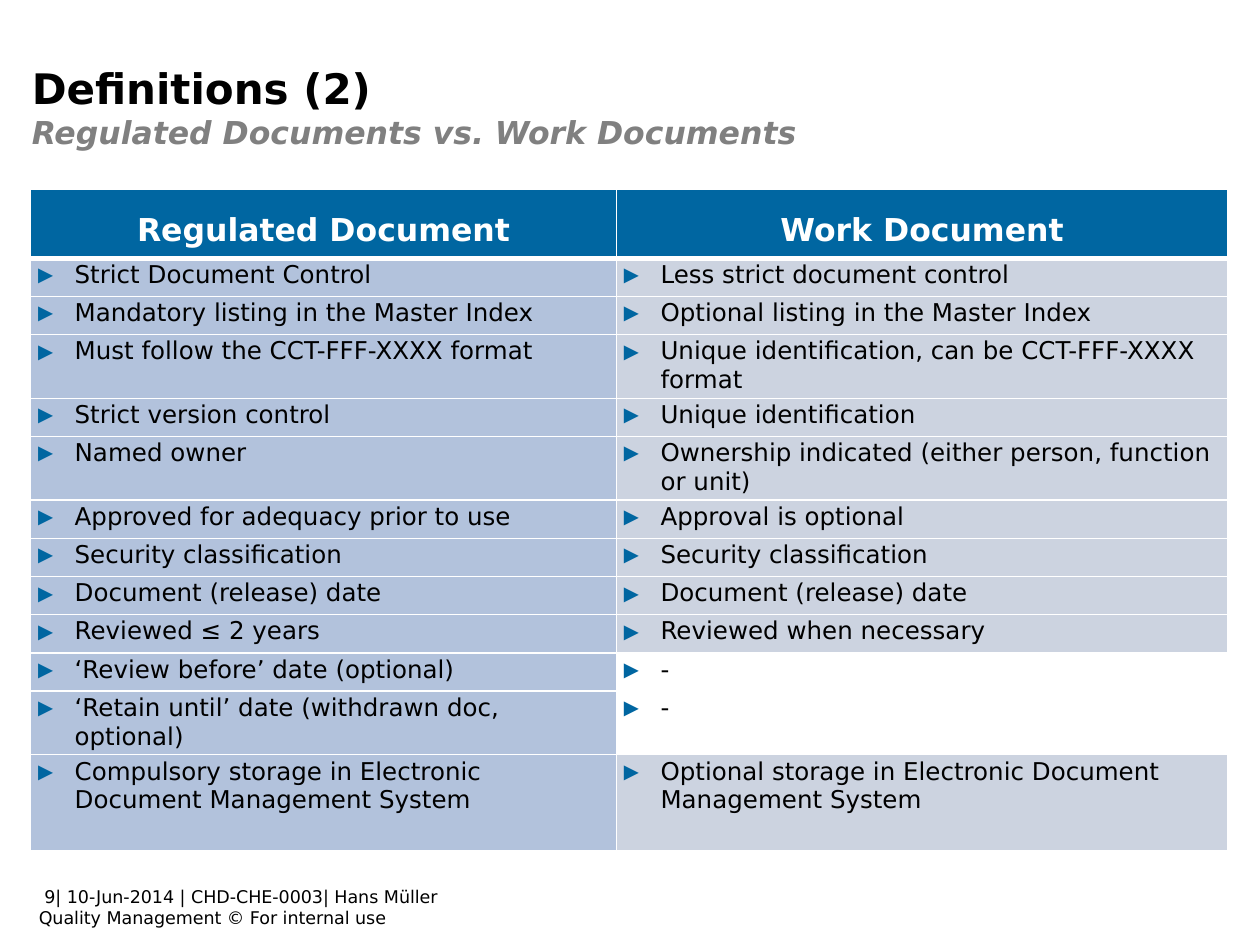
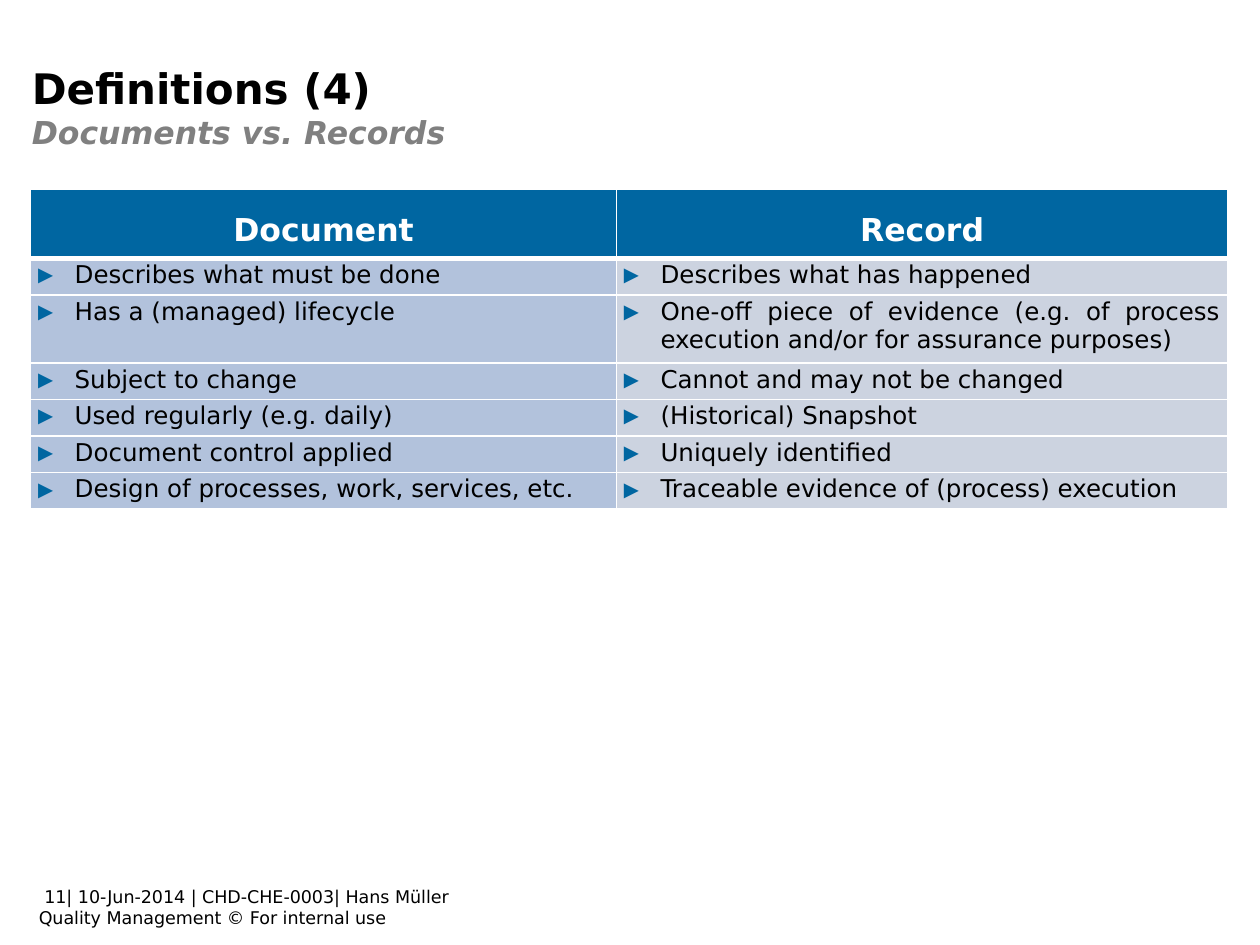
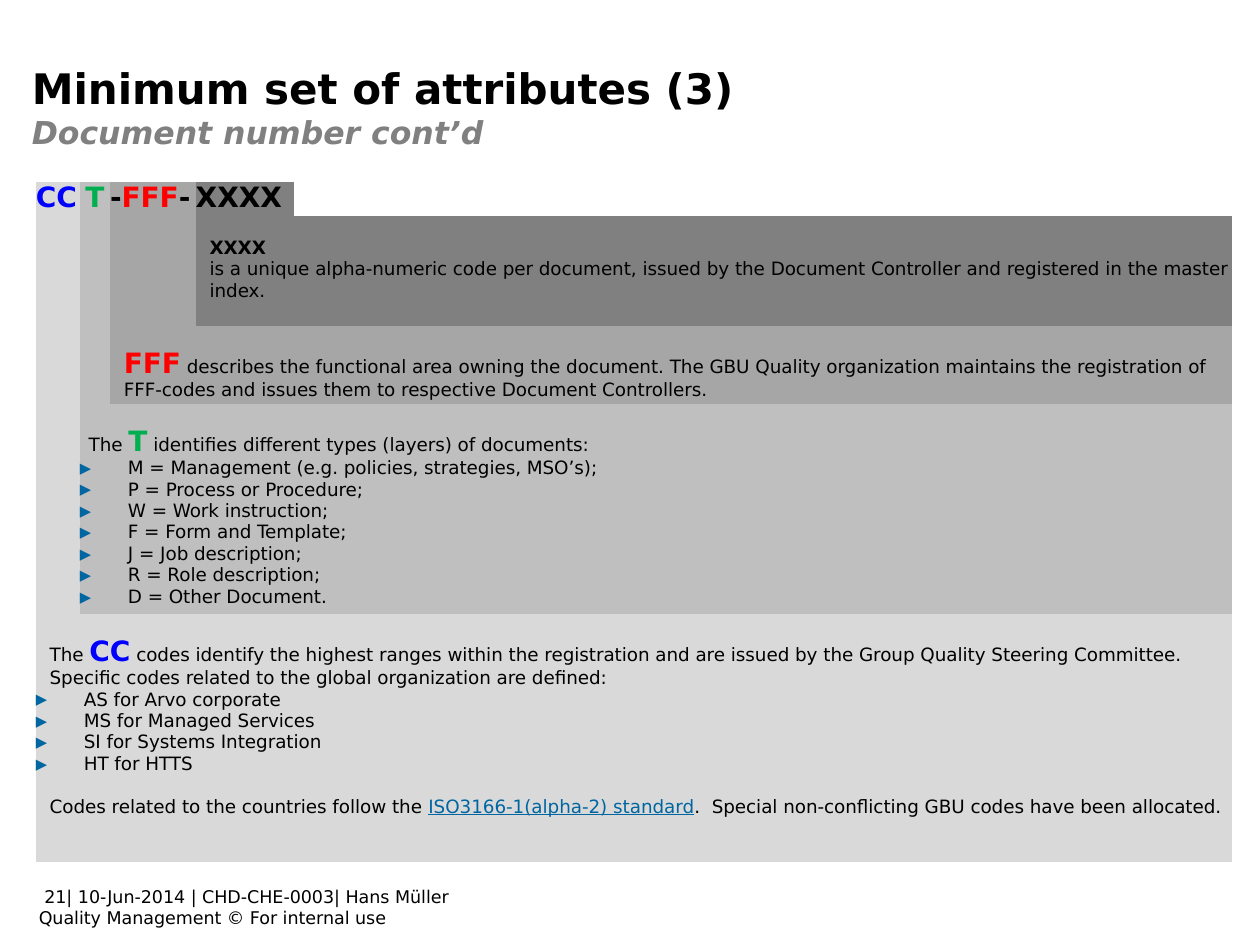
from lxml.etree import SubElement
from pptx import Presentation
from pptx.dml.color import RGBColor
from pptx.enum.text import MSO_ANCHOR as Anchor, PP_ALIGN as Align
from pptx.oxml.ns import qn
from pptx.util import Pt

FONT = "DejaVu Sans"
COLORS = {
    "black": "000000", "white": "FFFFFF", "subtitle": "808080",
    "header": "0066A1", "left": "B2C2DC", "right": "CCD3E0",
    "bullet": "0066A1", "link": "0066A1",
    "cc": "0000FF", "t": "00B050", "fff": "FF0000",
    "cc_area": "D9D9D9", "t_area": "BFBFBF", "fff_area": "A6A6A6", "xxxx_area": "808080",
}
NO_STYLE_NO_GRID = "{2D5ABB26-0587-4C30-8999-92F81FD0307C}"
CODE_SIZE, NOTE_SIZE, NOTE_LINE = 16, 10.5, 12.2
NOTE_INDENT, NOTE_HANG = 7.9, 27.4

REGULATED_VS_WORK = [
    ("Regulated Document", "Work Document"),
    ("Strict Document Control", "Less strict document control"),
    ("Mandatory listing in the Master Index", "Optional listing in the Master Index"),
    ("Must follow the CCT-FFF-XXXX format",
     "Unique identification, can be CCT-FFF-XXXX format"),
    ("Strict version control", "Unique identification"),
    ("Named owner", "Ownership indicated (either person, function or unit)"),
    ("Approved for adequacy prior to use", "Approval is optional"),
    ("Security classification", "Security classification"),
    ("Document (release) date", "Document (release) date"),
    ("Reviewed ≤ 2 years", "Reviewed when necessary"),
    ("‘Review before’ date (optional)", "-"),
    ("‘Retain until’ date (withdrawn doc, optional)", "-"),
    ("Compulsory storage in Electronic Document Management System",
     "Optional storage in Electronic Document Management System"),
]
DOCUMENT_VS_RECORD = [
    ("Document", "Record"),
    ("Describes what must be done", "Describes what has happened"),
    ("Has a (managed) lifecycle",
     "One-off piece of evidence (e.g. of process execution and/or for assurance purposes)"),
    ("Subject to change", "Cannot and may not be changed"),
    ("Used regularly (e.g. daily)", "(Historical) Snapshot"),
    ("Document control applied", "Uniquely identified"),
    ("Design of processes, work, services, etc.",
     "Traceable evidence of (process) execution"),
]
DOCUMENT_TYPES = [
    "M = Management (e.g. policies, strategies, MSO’s);",
    "P = Process or Procedure;",
    "W = Work instruction;",
    "F = Form and Template;",
    "J = Job description;",
    "R = Role description;",
    "D = Other Document.",
]
ORGANIZATION_CODES = [
    "AS for Arvo corporate",
    "MS for Managed Services",
    "SI for Systems Integration",
    "HT for HTTS",
]


class Deck:
    def __init__(self):
        self.presentation = Presentation()
        self.presentation.slide_width = Pt(720)
        self.presentation.slide_height = Pt(540)
        self.slide = None

    def new_slide(self, number, title, subtitle, title_width=510):
        """Add a slide with its title, subtitle and footer."""
        self.slide = self.presentation.slides.add_slide(self.presentation.slide_layouts[6])
        frame = self.text_box(12.2, 29.5, title_width, 64, margin=(6, 6))
        paragraph = frame.paragraphs[0]
        self.run(paragraph, title, 24, bold=True)
        paragraph.add_line_break()
        self.run(paragraph, subtitle, 18, "subtitle", bold=True, italic=True)

        footer = self.text_box(15.1, 502.6, 407.5, 31.7, margin=(7.2, 3.6))
        self.run(footer.paragraphs[0], f" {number}| 10-Jun-2014 | CHD-CHE-0003| Hans Müller", 10)
        self.run(footer.add_paragraph(), "Quality Management © For internal use", 10)

    def text_box(self, left, top, width, height, margin):
        frame = self.slide.shapes.add_textbox(
            Pt(left), Pt(top), Pt(width), Pt(height)).text_frame
        frame.word_wrap = True
        frame.vertical_anchor = Anchor.TOP
        frame.margin_left = frame.margin_right = Pt(margin[0])
        frame.margin_top = frame.margin_bottom = Pt(margin[1])
        return frame

    def run(self, paragraph, text, size, color="black", bold=False, italic=False, underline=False):
        run = paragraph.add_run()
        run.text = text
        font = run.font
        font.name, font.size = FONT, Pt(size)
        font.bold, font.italic, font.underline = bold, italic, underline
        font.color.rgb = RGBColor.from_string(COLORS[color])

    def indent(self, paragraph, left, bullet=False):
        """Indent a paragraph; a bullet hangs by the whole indent."""
        properties = paragraph._p.get_or_add_pPr()
        properties.set("marL", str(Pt(left)))
        properties.set("indent", str(Pt(-left) if bullet else 0))
        if bullet:
            color = SubElement(properties, qn("a:buClr"))
            SubElement(color, qn("a:srgbClr"), val=COLORS["bullet"])
            SubElement(properties, qn("a:buSzPct"), val="80000")
            SubElement(properties, qn("a:buFont"), typeface=FONT)
            SubElement(properties, qn("a:buChar"), char="▶")

    def table(self, left, top, widths, heights):
        table = self.slide.shapes.add_table(
            len(heights), len(widths), Pt(left), Pt(top),
            Pt(sum(widths)), Pt(sum(heights))).table
        table.first_row = table.horz_banding = False
        table._tbl.tblPr.find(qn("a:tableStyleId")).text = NO_STYLE_NO_GRID
        for column, width in zip(table.columns, widths):
            column.width = Pt(width)
        for row, height in zip(table.rows, heights):
            row.height = Pt(height)
        return table

    def cell(self, cell, fill=None, margins=(0, 0, 0, 0)):
        """Set fill and margins (left, top, right, bottom) of a cell."""
        (cell.margin_left, cell.margin_top,
         cell.margin_right, cell.margin_bottom) = map(Pt, margins)
        cell.vertical_anchor = Anchor.TOP
        if fill:
            cell.fill.solid()
            cell.fill.fore_color.rgb = RGBColor.from_string(COLORS[fill])

    def borders(self, cell, top=1, bottom=1):
        properties = cell._tc.get_or_add_tcPr()
        for side, width in (("L", 1), ("R", 1), ("T", top), ("B", bottom)):
            line = SubElement(properties, qn(f"a:ln{side}"), w=str(Pt(width)))
            fill = SubElement(line, qn("a:solidFill"))
            SubElement(fill, qn("a:srgbClr"), val=COLORS["white"])

    def comparison(self, rows, heights, align):
        """Two-column table with a header row and bulleted cells."""
        table = self.table(17.5, 108, [334.8, 349.2], heights)
        for row_index, texts in enumerate(rows):
            for column_index, text in enumerate(texts):
                cell = table.cell(row_index, column_index)
                paragraph = cell.text_frame.paragraphs[0]
                if row_index == 0:
                    self.borders(cell, bottom=3)
                    self.cell(cell, "header", (4.3, 2.9, 4.3, 1.4))
                    paragraph.alignment = Align.CENTER
                    paragraph.line_spacing = 1.5
                    paragraph.space_after = Pt(2.1)
                    self.run(paragraph, text, 18, "white", bold=True)
                else:
                    self.borders(cell, top=3 if row_index == 1 else 1)
                    fill = "white" if text == "-" else ("left", "right")[column_index]
                    self.cell(cell, fill, (4.3, 1.4, 4.3, 1.4))
                    paragraph.alignment = align
                    self.indent(paragraph, 20.9, bullet=True)
                    self.run(paragraph, text, 14)

    def code(self, cell, parts, align=Align.LEFT):
        """Write coloured parts of the document number."""
        paragraph = cell.text_frame.paragraphs[0]
        paragraph.alignment = align
        for text, color in parts:
            self.run(paragraph, text, CODE_SIZE, color, bold=True)

    def note(self, cell, before, code, after, indent=NOTE_INDENT, bullets=()):
        """Explain one code, set off by one line from the top of its cell."""
        cell.margin_top = Pt(NOTE_LINE)
        paragraph = cell.text_frame.paragraphs[0]
        self.indent(paragraph, indent)
        if before:
            self.run(paragraph, before, NOTE_SIZE)
        self.run(paragraph, code[0], CODE_SIZE, code[1], bold=True)
        self.run(paragraph, after, NOTE_SIZE)
        for text in bullets:
            paragraph = cell.text_frame.add_paragraph()
            self.indent(paragraph, NOTE_HANG, bullet=True)
            self.run(paragraph, text, NOTE_SIZE)

    def document_number(self):
        """Nested areas that explain each part of the document number."""
        table = self.table(20.5, 104, [25.2, 17.2, 49, 56, 536], [19.4, 62.9, 44.6, 120, 141.8])
        areas = ["cc_area", "t_area", "fff_area", "xxxx_area"]
        for row in range(5):
            for column in range(5):
                cell = table.cell(row, column)
                if row == 0:
                    fill = (areas + [None])[column]
                else:
                    fill = areas[min(column, 4 - row)]
                self.cell(cell, fill)
                end = cell.text_frame.paragraphs[0]._p.get_or_add_endParaRPr()
                end.set("sz", str(int(NOTE_SIZE * 100)))
        for first, last in (((1, 0), (2, 0)), ((1, 1), (2, 1)), ((1, 3), (1, 4)),
                            ((2, 2), (2, 4)), ((3, 1), (3, 4)), ((4, 0), (4, 4))):
            table.cell(*first).merge(table.cell(*last))

        self.code(table.cell(0, 0), [("CC", "cc")])
        self.code(table.cell(0, 1), [("T", "t")], Align.CENTER)
        self.code(table.cell(0, 2), [("-", "black"), ("FFF", "fff"), ("-", "black")])
        self.code(table.cell(0, 3), [("XXXX", "black")])

        unique = table.cell(1, 3)
        unique.margin_top = Pt(NOTE_LINE)
        heading = unique.text_frame.paragraphs[0]
        self.indent(heading, NOTE_INDENT)
        self.run(heading, "XXXX", NOTE_SIZE, bold=True)
        body = unique.text_frame.add_paragraph()
        self.indent(body, NOTE_INDENT)
        self.run(body, "is a unique alpha-numeric code per document, issued by the Document "
                 "Controller and registered in the master index.", NOTE_SIZE)

        self.note(table.cell(2, 2), "", ("FFF", "fff"),
                  " describes the functional area owning the document. The GBU Quality "
                  "organization maintains the registration of FFF-codes and issues them to "
                  "respective Document Controllers.")
        self.note(table.cell(3, 1), "The ", ("T", "t"),
                  " identifies different types (layers) of documents:", 5, DOCUMENT_TYPES)
        ranges = table.cell(4, 0)
        self.note(ranges, "The ", ("CC", "cc"),
                  " codes identify the highest ranges within the registration and are issued by "
                  "the Group Quality Steering Committee. Specific codes related to the global "
                  "organization are defined:", bullets=ORGANIZATION_CODES)
        countries = ranges.text_frame.add_paragraph()
        countries.space_before = Pt(NOTE_LINE)
        self.indent(countries, NOTE_INDENT)
        self.run(countries, "Codes related to the countries follow the ", NOTE_SIZE)
        self.run(countries, "ISO3166-1(alpha-2) standard", NOTE_SIZE, "link", underline=True)
        self.run(countries, ".  Special non-conflicting GBU codes have been allocated.", NOTE_SIZE)


def main():
    deck = Deck()

    deck.new_slide(9, "Definitions (2)", "Regulated Documents vs. Work Documents")
    one_line, two_lines = 21.8, 35.6
    heights = [39.6] + [one_line] * 11 + [55]
    for row in (3, 5, 11):
        heights[row] = two_lines
    deck.comparison(REGULATED_VS_WORK, heights, Align.LEFT)

    deck.new_slide(11, "Definitions (4)", "Documents vs. Records")
    deck.comparison(DOCUMENT_VS_RECORD, [39.6, 20.9, 38.9] + [20.9] * 4, Align.JUSTIFY)

    deck.new_slide(21, "Minimum set of attributes (3)", "Document number cont’d", 689)
    deck.document_number()

    deck.presentation.save("out.pptx")


if __name__ == "__main__":
    main()
